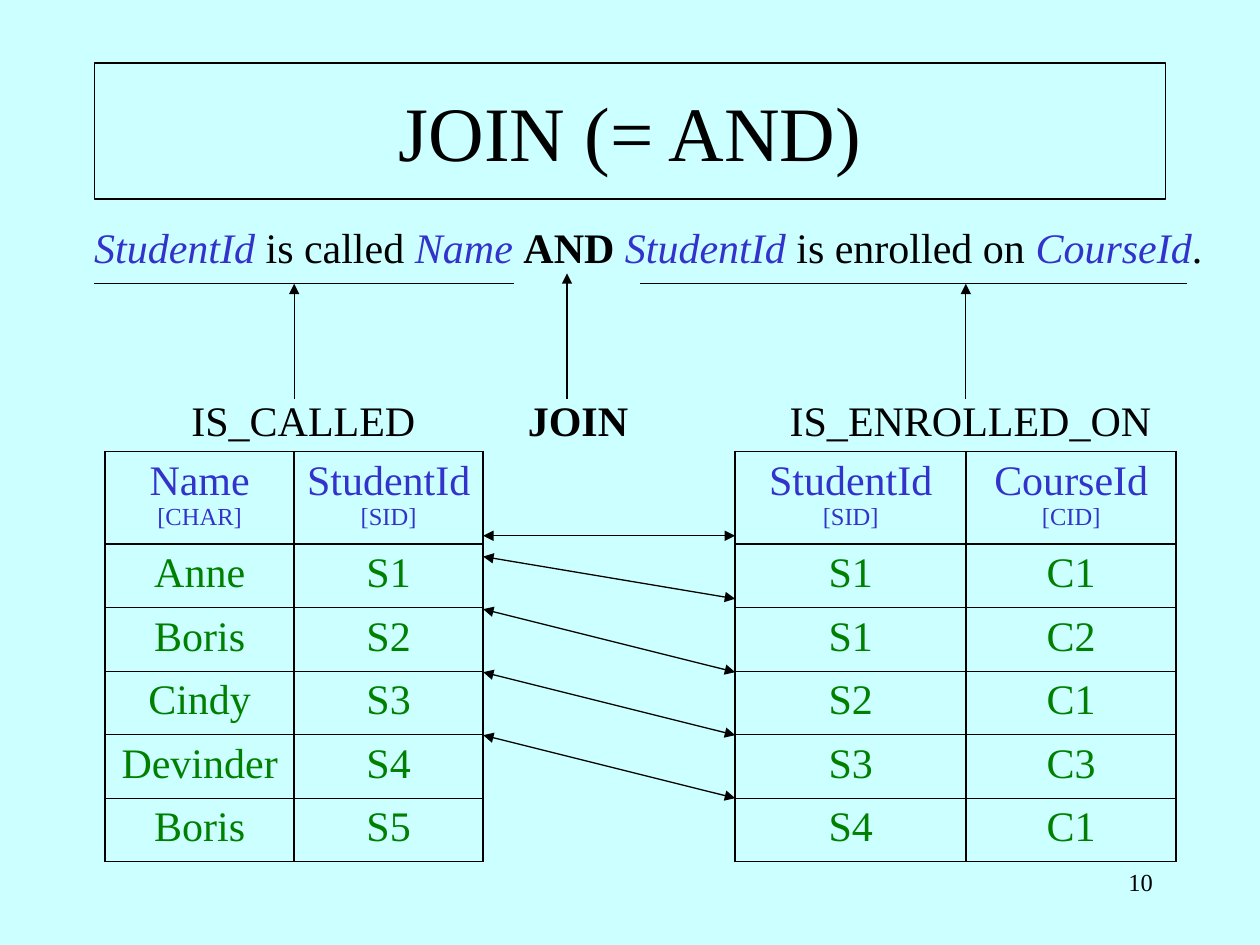
import pptx
import pptx.util
import pptx.dml.color
import pptx.enum.shapes
import pptx.enum.text
import pptx.oxml.ns
import lxml.etree

Cm, Pt = pptx.util.Cm, pptx.util.Pt
PP_ALIGN = pptx.enum.text.PP_ALIGN
BLACK = pptx.dml.color.RGBColor(0x00, 0x00, 0x00)
BLUE = pptx.dml.color.RGBColor(0x33, 0x33, 0xCC)
GREEN = pptx.dml.color.RGBColor(0x00, 0x80, 0x00)
AQUA = pptx.dml.color.RGBColor(0xCC, 0xFF, 0xFF)
FONT = "Times New Roman"
THICK, THIN = Pt(1.08), Pt(0.45)
HEADER_H, ROW_H = 1.86, 1.28


def sub(parent, tag, **attrs):
    """Append a DrawingML child element and return it."""
    return lxml.etree.SubElement(parent, pptx.oxml.ns.qn("a:" + tag), **attrs)


def add_run(p, text, size=24, color=BLACK, bold=False, italic=False):
    """Add one formatted run to a paragraph."""
    r = p.add_run()
    r.text = text
    r.font.name, r.font.size = FONT, Pt(size)
    r.font.bold, r.font.italic = bold, italic
    r.font.color.rgb = color


def add_text(slide, box, align=PP_ALIGN.LEFT):
    """Add a text box and return its first paragraph."""
    tf = slide.shapes.add_textbox(*map(Cm, box)).text_frame
    tf.word_wrap = True
    p = tf.paragraphs[0]
    p.alignment = align
    return p


def add_line(slide, x1, y1, x2, y2, ends=()):
    """Add a thin black line with triangles at the named ends."""
    ln = slide.shapes.add_connector(
        pptx.enum.shapes.MSO_CONNECTOR.STRAIGHT, Cm(x1), Cm(y1), Cm(x2), Cm(y2))
    ln.line.color.rgb = BLACK
    ln.line.width = Pt(0.75)
    for end in ends:
        sub(ln.line._get_or_add_ln(), end, type="triangle")
    sub(ln._element.spPr, "effectLst")


def format_title(slide, box, text):
    """Place the framed title."""
    sp = slide.shapes.title
    sp.left, sp.top, sp.width, sp.height = map(Cm, box)
    sp.line.color.rgb = BLACK
    sp.line.width = Pt(0.75)
    tf = sp.text_frame
    tf.vertical_anchor = pptx.enum.text.MSO_ANCHOR.MIDDLE
    p = tf.paragraphs[0]
    p.alignment = PP_ALIGN.CENTER
    add_run(p, text, 44)


def add_predicate(slide, box):
    """Add the sentence, its underlined halves and the captions pointing at them."""
    x, y, w, h = box
    p = add_text(slide, (x, y, w, 1.27))
    for text, style in [
        ("StudentId", "var"), (" is called ", ""), ("Name ", "var"), ("AND ", "bold"),
        ("StudentId", "var"), (" is enrolled on ", ""), ("CourseId", "var"), (".", ""),
    ]:
        var = style == "var"
        add_run(p, text, color=BLUE if var else BLACK, bold=style == "bold", italic=var)
    caption_y, underline_y = y + h - 1.27, y + 1.38
    for text, left, width, arrow_x, tip_y in [
        ("IS_CALLED", 1.96, 5.3, 4.28, underline_y),
        ("JOIN", 8.74, 2.8, 9.78, underline_y - 0.21),
        ("IS_ENROLLED_ON", 14.02, 8.1, 17.82, underline_y),
    ]:
        p = add_text(slide, (x + left, caption_y, width, 1.27))
        add_run(p, text, bold=text == "JOIN")
        add_line(slide, x + arrow_x, caption_y + 0.22, x + arrow_x, tip_y, ["tailEnd"])
    for start, end in [(0.25, 8.72), (11.26, 22.27)]:
        add_line(slide, x + start, underline_y, x + end, underline_y)


def format_cell(cell, top, bottom):
    """Clear the fill, draw the borders and return the centred paragraph."""
    tcPr = cell._tc.get_or_add_tcPr()
    for tag, width in [("lnL", THICK), ("lnR", THICK), ("lnT", top), ("lnB", bottom)]:
        ln = sub(tcPr, tag, w=str(int(width)))
        sub(sub(ln, "solidFill"), "srgbClr", val=str(BLACK))
    cell.fill.background()
    p = cell.text_frame.paragraphs[0]
    p.alignment = PP_ALIGN.CENTER
    return p


def add_relation(slide, box, widths, header, rows):
    """Add a relation table with typed attribute headings."""
    gf = slide.shapes.add_table(len(rows) + 1, len(widths), *map(Cm, box))
    tbl = gf.table
    tbl.first_row = tbl.horz_banding = False
    for col, width in zip(tbl.columns, widths):
        col.width = Cm(width)
    for i, row in enumerate(tbl.rows):
        row.height = Cm(ROW_H if i else HEADER_H)
    for j, (name, kind) in enumerate(header):
        p = format_cell(tbl.cell(0, j), THICK, THICK)
        p.space_before = Pt(3.5)
        add_run(p, name, color=BLUE)
        p.add_line_break()
        add_run(p, kind, 14, BLUE)
    for i, values in enumerate(rows, 1):
        for j, value in enumerate(values):
            p = format_cell(tbl.cell(i, j), THICK if i == 1 else THIN,
                            THICK if i == len(rows) else THIN)
            p.space_before = Pt(6)
            add_run(p, value, color=GREEN)


def add_matches(slide, box):
    """Add the two-way arrows pairing equal student ids."""
    x, y, w, h = box
    for left_y, right_y in [(0, 0), (0.42, 1.27), (1.48, 2.75), (2.75, 4.02), (4.02, h)]:
        add_line(slide, x, y + left_y, x + w, y + right_y, ["headEnd", "tailEnd"])


def main():
    """Build and save the slide."""
    prs = pptx.Presentation()
    prs.slide_width, prs.slide_height = Cm(25.4), Cm(19.05)
    s = prs.slides.add_slide(prs.slide_layouts.get_by_name("Title Only"))
    s.background.fill.solid()
    s.background.fill.fore_color.rgb = AQUA
    format_title(s, (1.9, 1.27, 21.6, 2.74), "JOIN (= AND)")
    add_predicate(s, (1.65, 4.34, 23.2, 4.75))
    table_h = HEADER_H + 5 * ROW_H
    add_relation(
        s, (2.12, 9.1, 7.62, table_h), (3.81, 3.81),
        [("Name", "[CHAR]"), ("StudentId", "[SID]")],
        [("Anne", "S1"), ("Boris", "S2"), ("Cindy", "S3"), ("Devinder", "S4"), ("Boris", "S5")])
    add_relation(
        s, (14.82, 9.1, 8.89, table_h), (4.66, 4.23),
        [("StudentId", "[SID]"), ("CourseId", "[CID]")],
        [("S1", "C1"), ("S1", "C2"), ("S2", "C1"), ("S3", "C3"), ("S4", "C1")])
    add_matches(s, (9.74, 10.8, 5.08, 5.29))
    p = add_text(s, (18.2, 17.36, 5.29, 1.27), PP_ALIGN.RIGHT)
    add_run(p, "10", 14)
    prs.save("out.pptx")


if __name__ == "__main__":
    main()
